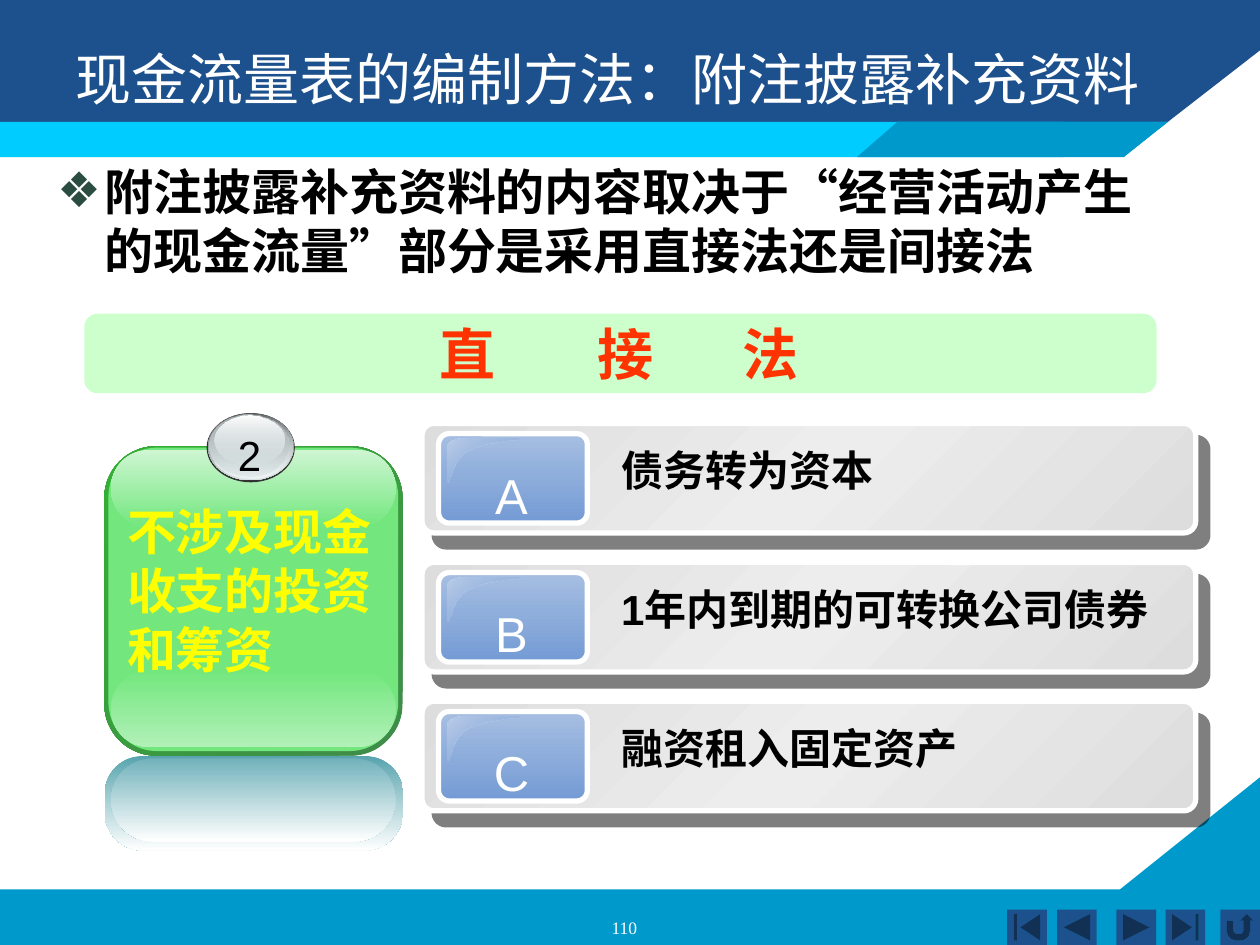
from lxml.etree import SubElement
from pptx import Presentation
from pptx.dml.color import RGBColor
from pptx.enum.shapes import MSO_SHAPE
from pptx.enum.text import MSO_ANCHOR, MSO_AUTO_SIZE, PP_ALIGN
from pptx.oxml.ns import qn
from pptx.util import Pt

COLORS = {
    "navy": "1D518D", "blue": "0099CB", "cyan": "00CCFF", "white": "FFFFFF",
    "black": "000000", "bullet": "2A4C41", "mint": "CCFFCC", "red": "FF3300",
    "yellow": "FFFF00", "green": "73E77E", "green_dark": "3F8B4A",
    "green_edge": "34B034", "green_low": "B1F0B7", "green_top": "CFF6D3",
    "gray": "DDDDDD", "gray_light": "EDEDED", "sky": "A6BEE2", "steel": "749BD4",
    "gloss": "BACDE9", "ring": "333333", "ball_dark": "626768", "ball": "D6E1E2",
    "ball_light": "EFF3F3", "ball_mid": "A8B1B2", "shine": "FEFEFE",
    "teal": "58A4AE", "teal_light": "72B2BB",
}
CJK_FONT = "Noto Sans CJK SC"
ROUND, OVAL = MSO_SHAPE.ROUNDED_RECTANGLE, MSO_SHAPE.OVAL


def rgb(name):
    return RGBColor.from_string(COLORS[name])


def paint(shape, fill, angle=90):
    """Fill with one colour name, or with a list of (position, colour, opacity)."""
    shape.shadow.inherit = False
    shape.line.fill.background()
    if isinstance(fill, str):
        shape.fill.solid()
        shape.fill.fore_color.rgb = rgb(fill)
        return
    shape.fill.gradient()
    gradient = shape.element.spPr.find(qn("a:gradFill"))
    for child in list(gradient):
        gradient.remove(child)
    stops = SubElement(gradient, qn("a:gsLst"))
    for position, name, opacity in fill:
        stop = SubElement(stops, qn("a:gs"), pos=str(position * 1000))
        color = SubElement(stop, qn("a:srgbClr"), val=COLORS[name])
        if opacity < 100:
            SubElement(color, qn("a:alpha"), val=str(opacity * 1000))
    SubElement(gradient, qn("a:lin"), ang=str(angle * 60000), scaled="0")


def blend(first, last, first_opacity=100, last_opacity=100):
    return [(0, first, first_opacity), (100, last, last_opacity)]


def add_preset(parent, kind, area, fill, angle=90, corner=None, edge=None):
    shape = parent.shapes.add_shape(kind, *(Pt(value) for value in area))
    paint(shape, fill, angle)
    if corner is not None:
        shape.adjustments[0] = corner
    if edge:
        shape.line.color.rgb = rgb(edge)
        shape.line.width = Pt(3)
    return shape


def add_outline(parent, points, fill, angle=90):
    # Hundredths of a point keep the vertices precise
    grid = [(round(x * 100), round(y * 100)) for x, y in points]
    builder = parent.shapes.build_freeform(*grid[0], scale=127)
    builder.add_line_segments(grid[1:], close=True)
    paint(builder.convert_to_shape(), fill, angle)


def curve(start, control_1, control_2, end, steps=10):
    """Points of a cubic curve, without its start."""
    for step in range(1, steps + 1):
        t = step / steps
        weights = ((1 - t) ** 3, 3 * t * (1 - t) ** 2, 3 * t * t * (1 - t), t ** 3)
        corners = (start, control_1, control_2, end)
        yield tuple(sum(w * c[axis] for w, c in zip(weights, corners)) for axis in (0, 1))


def write(box, text, size, color, font="Arial", bold=False, align=PP_ALIGN.LEFT,
          wrap=True, anchor=MSO_ANCHOR.TOP):
    frame = box.text_frame
    frame.word_wrap = wrap
    frame.auto_size = MSO_AUTO_SIZE.NONE
    frame.vertical_anchor = anchor
    para = frame.paragraphs[0]
    para.alignment = align
    para.space_before = Pt(0)
    span = para.add_run()
    span.text = text
    span.font.name, span.font.size, span.font.bold = font, Pt(size), bold
    span.font.color.rgb = rgb(color)
    SubElement(span.font._element, qn("a:ea"), typeface=CJK_FONT)


def add_text(parent, area, *args, **options):
    box = parent.shapes.add_textbox(*(Pt(value) for value in area))
    write(box, *args, **options)


def fill_placeholder(box, area, *args, **options):
    box.left, box.top, box.width, box.height = (Pt(value) for value in area)
    box.element.getparent().append(box.element)  # in front of the bands
    write(box, *args, **options)


def add_bands(page):
    add_outline(page, [(0, 508.3), (640, 508.3), (720, 444.2), (720, 540), (0, 540)], "blue")
    add_outline(page, [(0, 0), (720, 0), (720, 28.8), (642.5, 89), (0, 89)], "navy")
    add_preset(page, MSO_SHAPE.RECTANGLE, (0, 69.6, 607.5, 20.2), "cyan")
    add_outline(page, [(489.6, 89.8), (642.2, 89.8), (667.6, 69.5), (513, 69.5)], "blue")


def add_buttons(page):
    buttons = [
        (575.5, MSO_SHAPE.ACTION_BUTTON_BEGINNING),
        (604, MSO_SHAPE.ACTION_BUTTON_BACK_OR_PREVIOUS),
        (638, MSO_SHAPE.ACTION_BUTTON_FORWARD_OR_NEXT),
        (666, MSO_SHAPE.ACTION_BUTTON_END),
        (697.3, MSO_SHAPE.ACTION_BUTTON_RETURN),
    ]
    for left, kind in buttons:
        add_preset(page, kind, (left, 519.8, 22.7, 20.2), "navy")


def add_method_bar(page):
    bar = add_preset(page, ROUND, (48.2, 179.3, 612.7, 45.4), "mint", corner=0.167)
    properties = bar.text_frame.paragraphs[0]._p.get_or_add_pPr()
    tabs = SubElement(properties, qn("a:tabLst"))
    for stop in (90, 173):
        SubElement(tabs, qn("a:tab"), pos=str(Pt(stop)), algn="l")
    bar.text_frame.margin_left = Pt(201)
    write(bar, "直\t接\t法", 32, "red", bold=True, anchor=MSO_ANCHOR.MIDDLE)


def add_row(page, top, letter, text):
    row = page.shapes.add_group_shape()
    silver = [(0, "gray", 100), (50, "gray_light", 100), (100, "gray", 100)]
    card = add_preset(row, ROUND, (241.2, top, 442.1, 62.6), silver, 225, 0.109, "white")
    effects = card.element.spPr.find(qn("a:effectLst"))
    shadow = SubElement(effects, qn("a:outerShdw"), blurRad="0", dist=str(Pt(10.6)),
                        dir=str(49 * 60000), algn="ctr", rotWithShape="0")
    color = SubElement(shadow, qn("a:srgbClr"), val=COLORS["black"])
    SubElement(color, qn("a:alpha"), val="50000")
    # Letter tile with its gloss
    add_preset(row, ROUND, (250.6, top + 5.8, 85, 51.1), blend("sky", "steel"),
               corner=0.119, edge="white")
    x, y = 255.6, top + 8.6
    corner, side, foot = (x + 8.6, y), (x, y + 5), (x, y + 25.2)
    middle, tip = (x + 11.5, y + 7.2), (x + 42.5, y)
    gloss = [corner, *curve(corner, (x + 4.3, y), (x, y + 2.2), side), foot,
             *curve(foot, (x + 2.2, y + 25.9), (x + 1.4, y + 13), middle),
             *curve(middle, (x + 22.3, y + 1.4), (x + 42.5, y + 1.4), tip)]
    add_outline(row, gloss, blend("steel", "gloss", 0), 225)
    add_text(row, (275.3, top + 20.2, 34, 41), letter, 28, "white",
             align=PP_ALIGN.CENTER, wrap=False)
    add_text(row, (347.8, top + 8.3, 324.7, 36), text, 24, "black", bold=True)


def add_topic(page):
    topic = page.shapes.add_group_shape()
    # Glossy green tile
    add_preset(topic, ROUND, (59.6, 255, 170.4, 176.8),
               blend("green_dark", "green_edge"), 225, 0.174)
    add_preset(topic, ROUND, (62, 255.8, 165.6, 173.4), "green", corner=0.168)
    add_preset(topic, ROUND, (63.4, 383, 162.7, 43.9), blend("green", "green_low"), corner=0.5)
    add_preset(topic, ROUND, (63.4, 257, 162.7, 43.9), blend("green_top", "green"), corner=0.5)
    # Number ball
    ball = [
        ((118.1, 236, 50.4, 39.6), "ring"),
        ((118.8, 236.2, 49, 38.2), blend("ball_dark", "ball")),
        ((119.5, 236.2, 47.5, 37.4), blend("ball", "ball_light", 0)),
        ((119.7, 236.9, 45.4, 35.3), blend("ball_mid", "ball", 100, 48)),
        ((122.4, 237.6, 40.3, 28.1), blend("shine", "ball", 100, 38)),
    ]
    for area, fill in ball:
        add_preset(topic, OVAL, area, fill)
    add_text(topic, (128.9, 241.9, 27.4, 36), "2", 24, "black",
             align=PP_ALIGN.CENTER, wrap=False)
    add_text(topic, (65.5, 283, 162, 108), "不涉及现金收支的投资和筹资", 28, "yellow",
             font="DejaVu Sans", bold=True)
    # Reflection
    add_preset(topic, ROUND, (59.8, 432, 170.6, 54), blend("teal", "white"), corner=0.404)
    add_preset(topic, ROUND, (63.4, 433.4, 162.7, 47.5), blend("teal_light", "white"), corner=0.5)


def add_headings(page):
    title, body = page.placeholders
    fill_placeholder(title, (36, 21.6, 648, 90), "现金流量表的编制方法：附注披露补充资料",
                     32, "white", font=CJK_FONT)
    properties = body.text_frame.paragraphs[0]._p.get_or_add_pPr()
    properties.set("marL", str(Pt(27)))
    properties.set("indent", str(Pt(-27)))
    color = SubElement(properties, qn("a:buClr"))
    SubElement(color, qn("a:srgbClr"), val=COLORS["bullet"])
    SubElement(properties, qn("a:buChar"), char="❖")
    fill_placeholder(body, (25.5, 88.6, 648, 85),
                     "附注披露补充资料的内容取决于“经营活动产生的现金流量”部分是采用直接法还是间接法",
                     28, "black", font="DejaVu Sans", bold=True)


def main():
    deck = Presentation()
    deck.slide_width, deck.slide_height = Pt(720), Pt(540)
    page = deck.slides.add_slide(deck.slide_layouts[1])
    add_bands(page)
    add_buttons(page)
    add_headings(page)
    add_method_bar(page)
    add_topic(page)
    rows = [("A", "债务转为资本"), ("B", "1年内到期的可转换公司债券"), ("C", "融资租入固定资产")]
    for index, (letter, text) in enumerate(rows):
        add_row(page, 242 + 79.4 * index, letter, text)
    # Page number
    add_text(page, (272.9, 520.6, 167.8, 13), "110", 10, "white",
             font="Times New Roman", align=PP_ALIGN.CENTER)
    deck.save("out.pptx")


if __name__ == "__main__":
    main()
